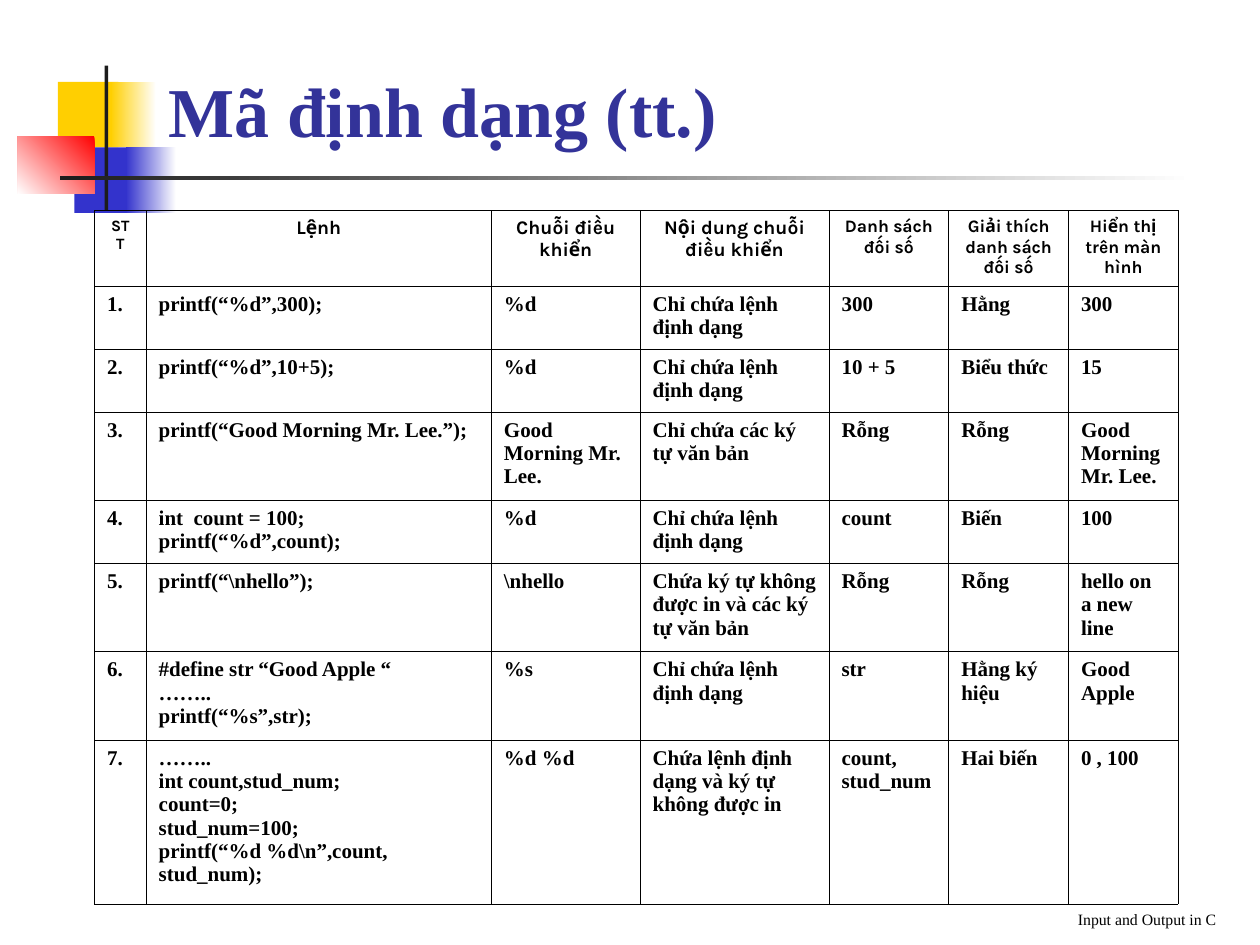
"""Build a slide that tabulates printf format codes and their output."""
import pptx
import pptx.util
import pptx.dml.color
import pptx.enum.shapes
import pptx.enum.text
import pptx.oxml
import pptx.oxml.ns

Inches = pptx.util.Inches
Pt = pptx.util.Pt
RGBColor = pptx.dml.color.RGBColor
PP_ALIGN = pptx.enum.text.PP_ALIGN

WHITE = RGBColor(0xFF, 0xFF, 0xFF)
BLACK = RGBColor(0x00, 0x00, 0x00)
CHARCOAL = RGBColor(0x1C, 0x1C, 0x1C)
YELLOW = RGBColor(0xFF, 0xCF, 0x01)
BLUE = RGBColor(0x33, 0x33, 0xCC)
RED = RGBColor(0xFF, 0x00, 0x00)
INDIGO = RGBColor(0x33, 0x33, 0x99)

SERIF = "Times New Roman"
SANS = "Karla"

COLUMN_WIDTHS = [0.41, 2.74, 1.18, 1.5, 0.95, 0.95, 0.87]
ROW_HEIGHTS = [0.6, 0.5, 0.5, 0.7, 0.5, 0.7, 0.7, 1.3]
HEADER_SIZES = [9, 11, 11, 11, 10, 10, 10]
HEADERS = ["STT", "Lệnh", "Chuỗi điều khiển", "Nội dung chuỗi điều khiển",
           "Danh sách đối số", "Giải thích danh sách đối số",
           "Hiển thị trên màn hình"]
FORMAT_ONLY = "Chỉ chứa lệnh định dạng"
EXAMPLES = [
    ["printf(“%d”,300);", "%d", FORMAT_ONLY, "300", "Hằng", "300"],
    ["printf(“%d”,10+5);", "%d", FORMAT_ONLY, "10 + 5", "Biểu thức", "15"],
    ["printf(“Good Morning Mr. Lee.”);", "Good Morning Mr. Lee.",
     "Chỉ chứa các ký tự văn bản", "Rỗng", "Rỗng", "Good Morning Mr. Lee."],
    ["int  count = 100;\nprintf(“%d”,count);", "%d", FORMAT_ONLY,
     "count", "Biến", "100"],
    ["printf(“\\nhello”);", "\\nhello",
     "Chứa ký tự không được in và các ký tự văn bản", "Rỗng", "Rỗng",
     "hello on a new line"],
    ["#define str “Good Apple “\n……..\nprintf(“%s”,str);", "%s", FORMAT_ONLY,
     "str", "Hằng ký hiệu", "Good Apple"],
    ["……..\nint count,stud_num;\ncount=0;\nstud_num=100;\n"
     "printf(“%d %d\\n”,count, stud_num);", "%d %d",
     "Chứa lệnh định dạng và ký tự không được in", "count, stud_num",
     "Hai biến", "0 , 100"],
]


def write_text(frame, text, size, font, color=BLACK, bold=True, align=PP_ALIGN.LEFT):
    frame.word_wrap = True
    frame.text = text
    for paragraph in frame.paragraphs:
        paragraph.alignment = align
        paragraph.font.size = Pt(size)
        paragraph.font.name = font
        paragraph.font.bold = bold
        paragraph.font.color.rgb = color


def add_block(slide, box, start, end=None, angle=180):
    block = slide.shapes.add_shape(
        pptx.enum.shapes.MSO_SHAPE.RECTANGLE, *map(Inches, box))
    block.shadow.inherit = False
    block.line.fill.background()
    if end is None:
        block.fill.solid()
        block.fill.fore_color.rgb = start
        return
    block.fill.gradient()
    block.fill.gradient_angle = 360 - angle
    for stop, color, position in zip(block.fill.gradient_stops, (start, end), (0, 1)):
        stop.color.rgb = color
        stop.position = position


def add_label(slide, box, text, size, **style):
    frame = slide.shapes.add_textbox(*map(Inches, box)).text_frame
    frame.vertical_anchor = pptx.enum.text.MSO_ANCHOR.BOTTOM
    write_text(frame, text, size, SERIF, **style)


def outline_cell(cell):
    properties = cell._tc.get_or_add_tcPr()
    for side in ("lnL", "lnR", "lnT", "lnB"):
        properties.append(pptx.oxml.parse_xml(
            f'<a:{side} {pptx.oxml.ns.nsdecls("a")} w="{Pt(0.45)}">'
            f'<a:solidFill><a:srgbClr val="{BLACK}"/></a:solidFill></a:{side}>'))
    cell.fill.background()


def add_examples(slide):
    rows = [HEADERS] + [[f"{number}.", *example]
                        for number, example in enumerate(EXAMPLES, 1)]
    table = slide.shapes.add_table(
        len(rows), len(HEADERS), Inches(0.75), Inches(1.67),
        Inches(sum(COLUMN_WIDTHS)), Inches(sum(ROW_HEIGHTS))).table
    table.first_row = False
    table.horz_banding = False
    for column, width in zip(table.columns, COLUMN_WIDTHS):
        column.width = Inches(width)
    for row, height, texts in zip(table.rows, ROW_HEIGHTS, rows):
        row.height = Inches(height)
        for cell, text, header_size in zip(row.cells, texts, HEADER_SIZES):
            outline_cell(cell)
            if texts is HEADERS:
                write_text(cell.text_frame, text, header_size, SANS,
                           align=PP_ALIGN.CENTER)
            else:
                write_text(cell.text_frame, text, 12, SERIF)


def add_emblem(slide):
    add_block(slide, (0.46, 0.65, 0.48, 0.52), YELLOW)
    add_block(slide, (0.88, 0.65, 0.36, 0.52), WHITE, YELLOW)
    add_block(slide, (0.59, 1.17, 0.46, 0.52), BLUE)
    add_block(slide, (1, 1.17, 0.4, 0.52), WHITE, BLUE)
    add_block(slide, (0.14, 1.08, 0.61, 0.46), RED, WHITE, angle=135)
    add_block(slide, (0.83, 0.52, 0.03, 1.15), CHARCOAL)
    add_block(slide, (0.48, 1.4, 9, 0.03), WHITE, CHARCOAL)


def main():
    deck = pptx.Presentation()
    deck.slide_width, deck.slide_height = Inches(10), Inches(7.5)
    slide = deck.slides.add_slide(deck.slide_layouts[6])
    add_emblem(slide)
    add_label(slide, (1.24, 0.52, 6.76, 0.73), "Mã định dạng (tt.)", 40, color=INDIGO)
    add_examples(slide)
    add_label(slide, (3.67, 6.92, 6.08, 0.5), "Input and Output in C", 9,
              bold=False, align=PP_ALIGN.RIGHT)
    deck.save("out.pptx")


main()
